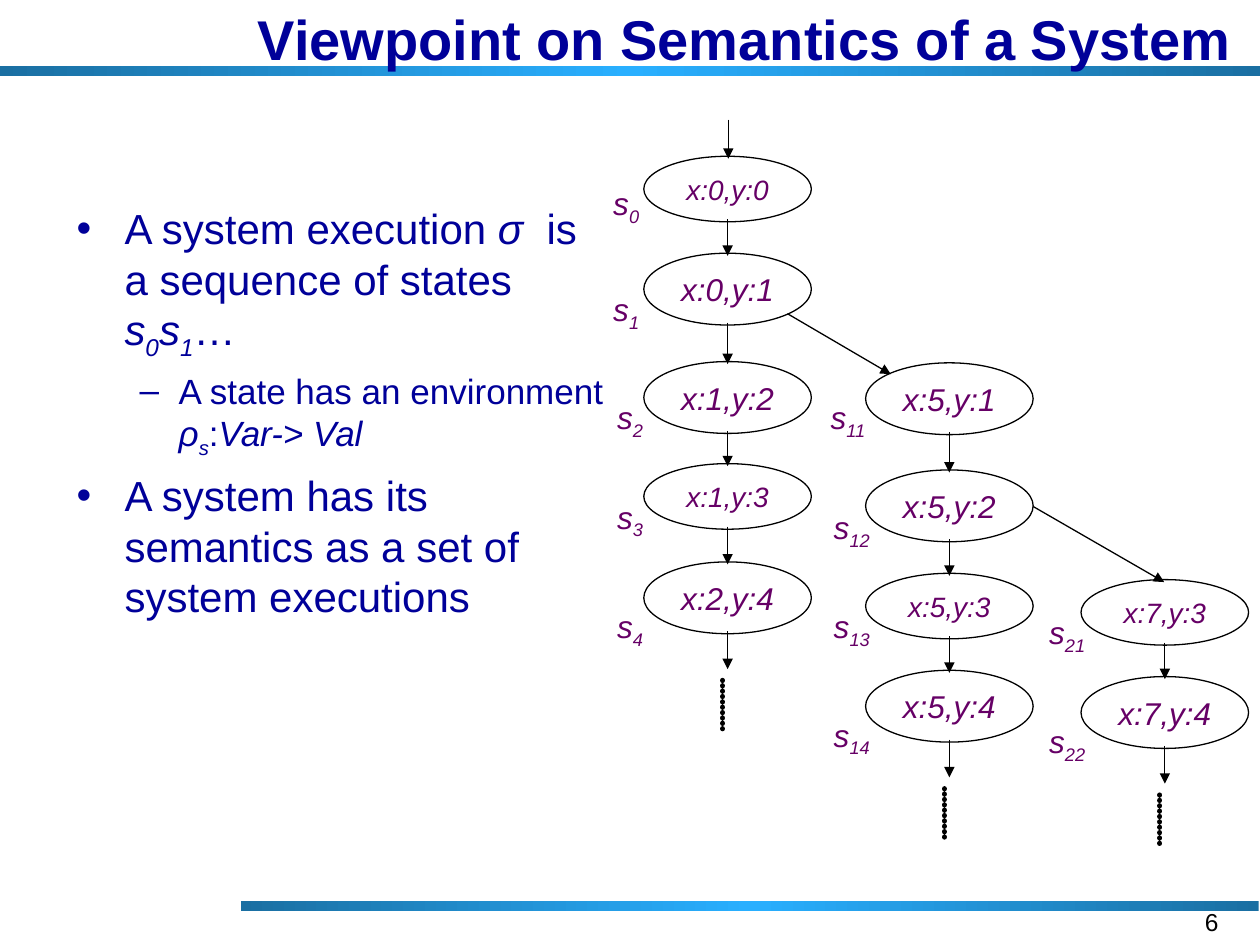
from copy import deepcopy
from lxml import etree
from pptx import Presentation
from pptx.dml.color import RGBColor
from pptx.enum.shapes import MSO_CONNECTOR, MSO_SHAPE
from pptx.enum.text import MSO_ANCHOR, PP_ALIGN
from pptx.oxml.ns import qn
from pptx.util import Inches, Pt

RECT, OVAL = MSO_SHAPE.RECTANGLE, MSO_SHAPE.OVAL
LINE = MSO_CONNECTOR.STRAIGHT
TOP, MID = MSO_ANCHOR.TOP, MSO_ANCHOR.MIDDLE
LEFT, RIGHT, CENTER = PP_ALIGN.LEFT, PP_ALIGN.RIGHT, PP_ALIGN.CENTER

TITLE = "Viewpoint on Semantics of a System "
PAGE = "6"
BARS = [(0, 0.52, 10, 0.08), (1.91, 7.15, 8.08, 0.08)]
BODY = [
    ("main", [("A system execution ", ""), ("σ", "i"),
              ("  is a sequence of states ", ""), ("s", "i"), ("0", "is"),
              ("s", "i"), ("1", "is"), ("…", "")]),
    ("sub", [("A state has an environment ", ""), ("ρ", "i"), ("s", "is"),
             (":", ""), ("Var-> Val", "i")]),
    ("main", [("A system has its semantics as a set of system executions", "")]),
]
CHAINS = [
    (5.11, [("x:0,y:0", 1.24, "small", "0", 4.77, 1.41),
            ("x:0,y:1", 2.01, "large", "1", 4.77, 2.25),
            ("x:1,y:2", 2.87, "large", "2", 4.8, 3.11),
            ("x:1,y:3", 3.68, "small", "3", 4.8, 3.9),
            ("x:2,y:4", 4.46, "large", "4", 4.8, 4.77)]),
    (6.87, [("x:5,y:1", 2.88, "large", "11", 6.49, 3.11),
            ("x:5,y:2", 3.73, "large", "12", 6.52, 3.98),
            ("x:5,y:3", 4.55, "small", "13", 6.52, 4.77),
            ("x:5,y:4", 5.32, "large", "14", 6.52, 5.63)]),
    (8.58, [("x:7,y:3", 4.6, "small", "21", 8.23, 4.82),
            ("x:7,y:4", 5.37, "large", "22", 8.23, 5.68)]),
]
START = (5.78, 0.95, 5.78, 1.26)
FORKS = [(6.25, 2.49, 7.07, 2.97), (8.2, 4.02, 9.24, 4.62)]
WIDE = 1.33
HIGH = {"small": 0.52, "large": 0.57}

THEME = {
    "font": "Arial", "navy": "000099", "plum": "660066", "black": "000000",
    "bar": [(0, "1A6FA2"), (50, "29AFFF"), (100, "1A6FA2")],
    "title": 32, "main": 24, "sub": 20, "large": 18, "small": 16, "page": 14,
    "thin": 0.75, "thick": 3,
}
LEVELS = {
    "main": {"mark": "•", "left": 0.38, "hang": 0.38, "gap": 6},
    "sub": {"mark": "–", "left": 0.81, "hang": 0.31, "gap": 5},
}

deck = Presentation()
deck.slide_width, deck.slide_height = Inches(10), Inches(7.5)
slide = deck.slides.add_slide(deck.slide_layouts[6])
shapes = slide.shapes


def place(*box):
    return [Inches(n) for n in box]


def put(item, values):
    for name, value in values.items():
        setattr(item, name, value)


def write(par, runs, size, color, bold=False):
    for text, style in runs:
        run = par.add_run()
        run.text = text
        put(run.font, {"name": THEME["font"], "size": Pt(THEME[size]),
                       "bold": bold, "italic": "i" in style})
        run.font.color.rgb = RGBColor.from_string(THEME[color])
        if "s" in style:
            run.font._element.set("baseline", "-25000")


def label(shape, runs, size, color, align=CENTER, anchor=MID, bold=False, inset=0):
    frame = shape.text_frame
    put(frame, {"word_wrap": inset > 0, "vertical_anchor": anchor,
                "margin_left": Inches(inset), "margin_right": Inches(inset)})
    frame.paragraphs[0].alignment = align
    write(frame.paragraphs[0], runs, size, color, bold)


def add_bar(box):
    bar = shapes.add_shape(RECT, *place(*box))
    bar.shadow.inherit = False
    bar.line.fill.background()
    bar.fill.gradient()
    bar.fill.gradient_angle = 0
    stops = bar._element.spPr.find(".//" + qn("a:gsLst"))
    stops.insert(1, deepcopy(stops[0]))
    for stop, (pos, color) in zip(bar.fill.gradient_stops, THEME["bar"]):
        stop.position = pos / 100
        stop.color.rgb = RGBColor.from_string(color)


def add_line(ends, width="thin", dots=False):
    link = shapes.add_connector(LINE, *place(*ends))
    link.line.width = Pt(THEME[width])
    link.line.color.rgb = RGBColor.from_string(THEME["black"])
    pen = link.line._get_or_add_ln()
    if dots:
        pen.set("cap", "rnd")
        dash = etree.SubElement(pen, qn("a:custDash"))
        etree.SubElement(dash, qn("a:ds"), d="100000", sp="2000")
    else:
        etree.SubElement(pen, qn("a:tailEnd"), type="triangle")
    etree.SubElement(link._element.spPr, qn("a:effectLst"))


def add_state(left, node):
    text, top, size, index, tag_x, tag_y = node
    oval = shapes.add_shape(OVAL, *place(left, top, WIDE, HIGH[size]))
    oval.shadow.inherit = False
    oval.fill.background()
    oval.line.width = Pt(THEME["thin"])
    oval.line.color.rgb = RGBColor.from_string(THEME["black"])
    label(oval, [(text, "i")], size, "plum")
    tag_w = 0.32 + 0.08 * len(index)
    tag = shapes.add_textbox(*place(tag_x, tag_y, tag_w, 0.44))
    label(tag, [("s", "i"), (index, "is")], "large", "plum", anchor=TOP)


def add_chain(left, nodes):
    mid = left + WIDE / 2
    for node in nodes:
        add_state(left, node)
    feet = [node[1] + HIGH[node[2]] for node in nodes]
    for foot, node in zip(feet, nodes[1:]):
        add_line((mid, foot - 0.02, mid, node[1] + 0.02))
    end = feet[-1]
    add_line((mid, end - 0.02, mid, end + 0.28))
    add_line((mid - 0.04, end + 0.37, mid - 0.04, end + 0.77), "thick", True)


def add_body():
    frame = shapes.add_textbox(*place(0.51, 1.56, 4.42, 5.18)).text_frame
    frame.word_wrap = True
    for row, (kind, runs) in enumerate(BODY):
        par = frame.add_paragraph() if row else frame.paragraphs[0]
        level = LEVELS[kind]
        put(par, {"alignment": LEFT, "line_spacing": 1.0,
                  "space_before": Pt(level["gap"] if row else 0),
                  "level": int(kind == "sub")})
        props = par._p.get_or_add_pPr()
        props.set("marL", str(Inches(level["left"])))
        props.set("indent", str(-Inches(level["hang"])))
        tint = etree.SubElement(props, qn("a:buClr"))
        etree.SubElement(tint, qn("a:srgbClr"), val=THEME["navy"])
        etree.SubElement(props, qn("a:buFont"), typeface=THEME["font"])
        etree.SubElement(props, qn("a:buChar"), char=level["mark"])
        write(par, runs, kind, "navy")


for box in BARS:
    add_bar(box)
label(shapes.add_textbox(*place(7.44, 7.15, 2.33, 0.35)), [(PAGE, "")],
      "page", "black", RIGHT, TOP, inset=0.1)
label(shapes.add_textbox(*place(1, 0, 9, 0.6)), [(TITLE, "")],
      "title", "navy", RIGHT, bold=True, inset=0.1)
add_body()
for left, nodes in CHAINS:
    add_chain(left, nodes)
for ends in [START, *FORKS]:
    add_line(ends)

deck.save("out.pptx")
